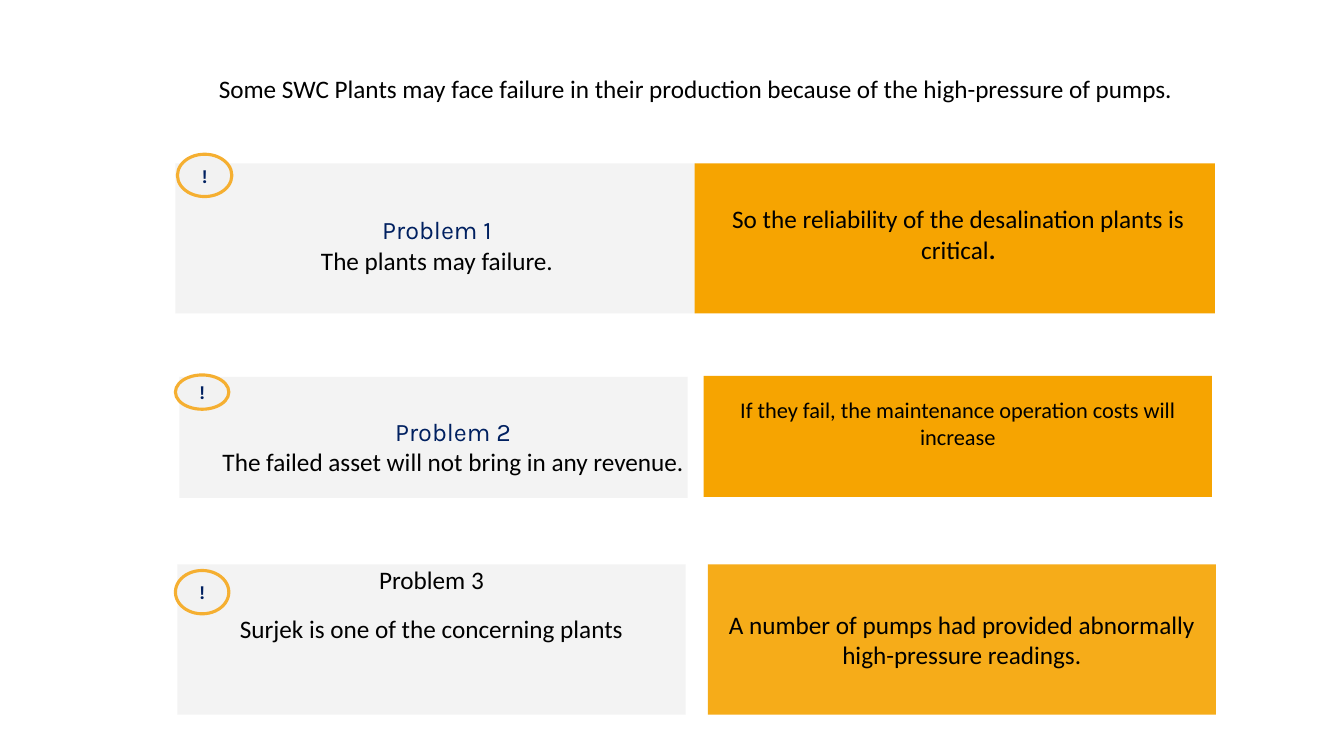
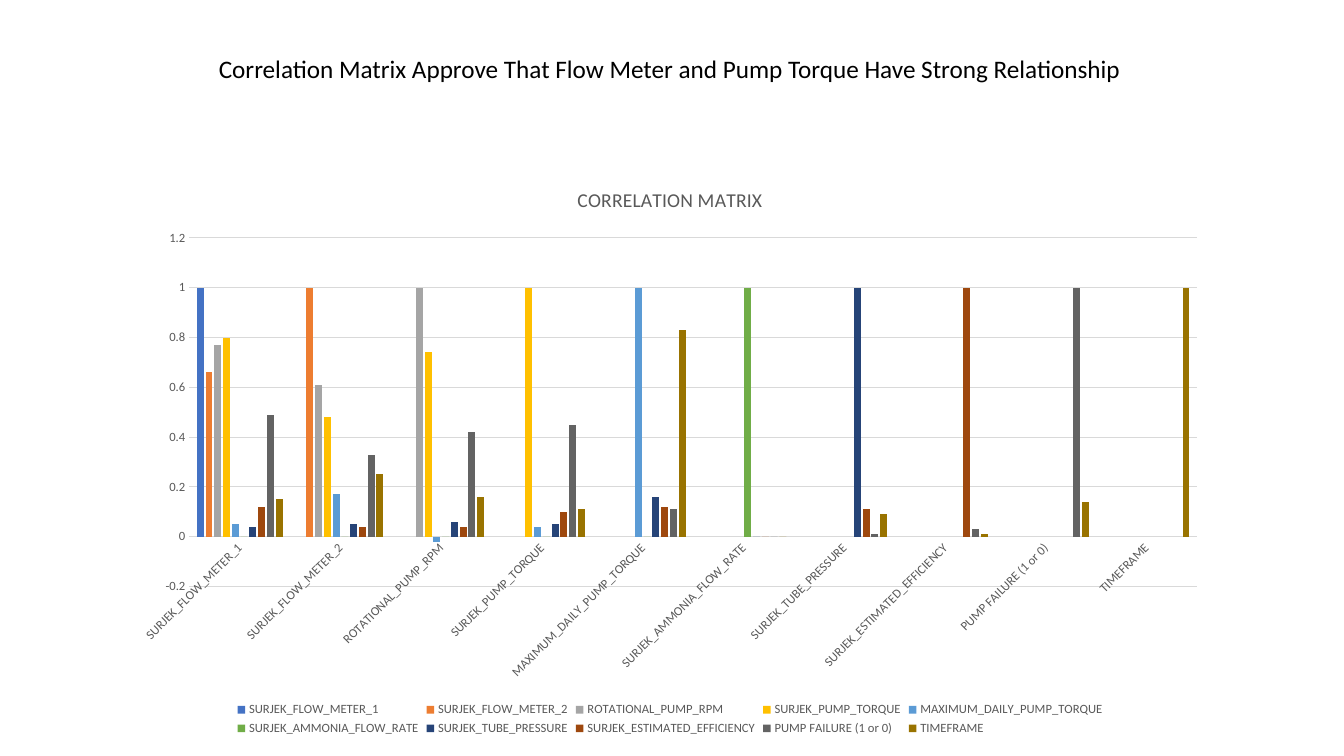
from lxml import etree
from pptx import Presentation
from pptx.chart.data import CategoryChartData
from pptx.dml.color import RGBColor
from pptx.enum.chart import XL_CHART_TYPE as ChartType, XL_LEGEND_POSITION as LegendPosition
from pptx.enum.chart import XL_TICK_MARK as TickMark
from pptx.enum.shapes import MSO_SHAPE as Shape
from pptx.enum.text import MSO_ANCHOR as Anchor, MSO_AUTO_SIZE as AutoSize, PP_ALIGN as Align
from pptx.oxml.ns import qn
from pptx.util import Inches, Pt

# Shared colours and fonts
BLACK = RGBColor(0x00, 0x00, 0x00)
NAVY = RGBColor(0x00, 0x20, 0x60)
PALE = RGBColor(0xF2, 0xF2, 0xF2)
ORANGE = RGBColor(0xF6, 0xA4, 0x01)
RING = RGBColor(0xF5, 0xAF, 0x31)
AXIS_TEXT = RGBColor(0x59, 0x59, 0x59)
GRID = RGBColor(0xD9, 0xD9, 0xD9)
BODY_FONT, ACCENT_FONT = "Calibri", "Karla"
DEFAULT_INSETS = (0.1, 0.05, 0.1, 0.05)
HEADING = {"font": ACCENT_FONT, "color": NAVY}

# Slide 1: cards, each with paragraphs of (text, format) spans
PROBLEMS_TITLE = ("Some SWC Plants may face failure in their production "
                  "because of the high-pressure of pumps.")
PROBLEM_ROWS = [
    {"problem": {"at": (1.74, 1.62, 5.16, 1.49), "opacity": 85,
                 "insets": (0.21, 0.51, 0.18, 0.05),
                 "paragraphs": [[("Problem 1", HEADING)], [("The plants may failure.", {})]]},
     "effect": {"at": (6.89, 1.62, 5.16, 1.49), "insets": (0.23, 0.4, 0.16, 0.05),
                "paragraphs": [[("So the reliability of the desalination plants is critical", {}),
                                (".", {"bold": True})]]},
     "badge": (1.76, 1.53, 0.54, 0.42)},
    {"problem": {"at": (1.78, 3.74, 5.04, 1.2), "opacity": 85,
                 "insets": (0.39, 0.39, 0, 0.05),
                 "paragraphs": [[("Problem 2", HEADING)],
                                [("The failed asset will not bring in any revenue.", {})]]},
     "effect": {"at": (6.98, 3.73, 5.04, 1.2), "insets": (0.1, 0.05, 0.1, 0.32),
                "anchor": Anchor.MIDDLE,
                "paragraphs": [[("If they fail, the maintenance operation costs will increase",
                                 {"size": 16})]]},
     "badge": (1.74, 3.72, 0.53, 0.34)},
    {"problem": {"at": (1.76, 5.6, 5.04, 1.49), "opacity": 85,
                 "insets": (0, 0, 0, 0), "gap": 13,
                 "paragraphs": [[("Problem 3", {})],
                                [("Surjek is one of the concerning plants", {})]]},
     "effect": {"at": (7.02, 5.6, 5.04, 1.49), "opacity": 90, "anchor": Anchor.MIDDLE,
                "paragraphs": [[("A number of pumps had provided abnormally "
                                 "high-pressure readings.", {})]]},
     "badge": (1.74, 5.66, 0.53, 0.43)},
]

# Slide 2: lower triangle of the matrix, one series per row
MATRIX_TITLE = "Correlation Matrix Approve That Flow Meter and Pump Torque Have Strong Relationship"
CORRELATIONS = [
    ("SURJEK_FLOW_METER_1", "4472C4", [1]),
    ("SURJEK_FLOW_METER_2", "ED7D31", [0.66, 1]),
    ("ROTATIONAL_PUMP_RPM", "A5A5A5", [0.77, 0.61, 1]),
    ("SURJEK_PUMP_TORQUE", "FFC000", [0.8, 0.48, 0.74, 1]),
    ("MAXIMUM_DAILY_PUMP_TORQUE", "5B9BD5", [0.05, 0.17, -0.02, 0.04, 1]),
    ("SURJEK_AMMONIA_FLOW_RATE", "70AD47", [0, 0, 0, 0, 0, 1]),
    ("SURJEK_TUBE_PRESSURE", "264478", [0.04, 0.05, 0.06, 0.05, 0.16, 0, 1]),
    ("SURJEK_ESTIMATED_EFFICIENCY", "9E480E", [0.12, 0.04, 0.04, 0.1, 0.12, 0, 0.11, 1]),
    ("PUMP FAILURE (1 or 0)", "636363", [0.49, 0.33, 0.42, 0.45, 0.11, 0, 0.01, 0.03, 1]),
    ("TIMEFRAME", "997300", [0.15, 0.25, 0.16, 0.11, 0.83, 0, 0.09, 0.01, 0.14, 1]),
]


def style_font(font, size=18, font_name=BODY_FONT, color=BLACK, bold=False):
    font.size, font.name, font.bold = Pt(size), font_name, bold
    font.color.rgb = color


def add_span(para, text, size=18, font=BODY_FONT, color=BLACK, bold=False):
    span = para.add_run()
    span.text = text
    style_font(span.font, size, font, color, bold)


def set_frame(frame, insets=DEFAULT_INSETS, anchor=Anchor.TOP):
    frame.word_wrap = True
    frame.auto_size = AutoSize.NONE
    frame.vertical_anchor = anchor
    (frame.margin_left, frame.margin_top,
     frame.margin_right, frame.margin_bottom) = map(Inches, insets)


def add_page(deck, title, top):
    page = deck.slides.add_slide(deck.slide_layouts[5])
    box = page.shapes.title
    box.left, box.top, box.width, box.height = map(Inches, (2.07, top, 9.92, 0.4))
    set_frame(box.text_frame)
    para = box.text_frame.paragraphs[0]
    para.alignment = Align.LEFT
    add_span(para, title)
    return page


def add_box(page, kind, at, fill, paragraphs, opacity=100, line=None, gap=0,
            insets=DEFAULT_INSETS, anchor=Anchor.TOP):
    box = page.shapes.add_shape(kind, *map(Inches, at))
    box.shadow.inherit = False
    box.fill.solid()
    box.fill.fore_color.rgb = fill
    if opacity < 100:
        color = box.element.find(".//" + qn("a:srgbClr"))
        etree.SubElement(color, qn("a:alpha"), val=str(opacity * 1000))
    if line:
        box.line.color.rgb = line
        box.line.width = Pt(2.25)
    else:
        box.line.fill.background()
    frame = box.text_frame
    set_frame(frame, insets, anchor)
    for index, spans in enumerate(paragraphs):
        para = frame.add_paragraph() if index else frame.paragraphs[0]
        para.alignment = Align.CENTER
        para.space_before = Pt(gap if index else 0)
        for text, style in spans:
            add_span(para, text, **style)


def build_problems(deck):
    page = add_page(deck, PROBLEMS_TITLE, 0.68)
    mark = [[("!", {**HEADING, "size": 13.7, "bold": True})]]
    for row in PROBLEM_ROWS:
        add_box(page, Shape.RECTANGLE, fill=PALE, **row["problem"])
        add_box(page, Shape.RECTANGLE, fill=ORANGE, **row["effect"])
        add_box(page, Shape.OVAL, row["badge"], PALE, mark, line=RING, anchor=Anchor.MIDDLE)


def build_matrix(deck):
    page = add_page(deck, MATRIX_TITLE, 0.48)
    data = CategoryChartData()
    data.categories = [name for name, _, _ in CORRELATIONS]
    for name, _, values in CORRELATIONS:
        data.add_series(name, values + [None] * (len(CORRELATIONS) - len(values)))
    place = map(Inches, (1.2, 1.65, 10.89, 5.69))
    chart = page.shapes.add_chart(ChartType.COLUMN_CLUSTERED, *place, data).chart
    style_font(chart.font, 10)

    # Title and legend
    chart.has_title = True
    add_span(chart.chart_title.text_frame.paragraphs[0], "CORRELATION MATRIX",
             size=14, color=AXIS_TEXT)
    chart.has_legend = True
    chart.legend.position = LegendPosition.BOTTOM
    chart.legend.include_in_layout = False
    style_font(chart.legend.font, 9, color=AXIS_TEXT)

    # Columns
    plot = chart.plots[0]
    plot.vary_by_categories = False
    plot.gap_width, plot.overlap = 219, -27
    for series, (_, color, _) in zip(plot.series, CORRELATIONS):
        series.invert_if_negative = False
        series.format.fill.solid()
        series.format.fill.fore_color.rgb = RGBColor.from_string(color)

    # Axes
    category_axis, value_axis = chart.category_axis, chart.value_axis
    for axis in (category_axis, value_axis):
        axis.major_tick_mark = axis.minor_tick_mark = TickMark.NONE
        style_font(axis.tick_labels.font, 9, color=AXIS_TEXT)
    value_axis.minimum_scale, value_axis.maximum_scale = -0.2, 1.2
    value_axis.major_unit = 0.2
    value_axis.format.line.fill.background()
    value_axis.has_major_gridlines = True
    for line in (category_axis.format.line, value_axis.major_gridlines.format.line):
        line.color.rgb = GRID
        line.width = Pt(0.75)

    # Slanted category labels
    label_body = category_axis._element.find(qn("c:txPr") + "/" + qn("a:bodyPr"))
    label_body.set("rot", "-2700000")


def main():
    deck = Presentation()
    deck.slide_width, deck.slide_height = Inches(13.33), Inches(7.5)
    build_problems(deck)
    build_matrix(deck)
    deck.save("out.pptx")


if __name__ == "__main__":
    main()
